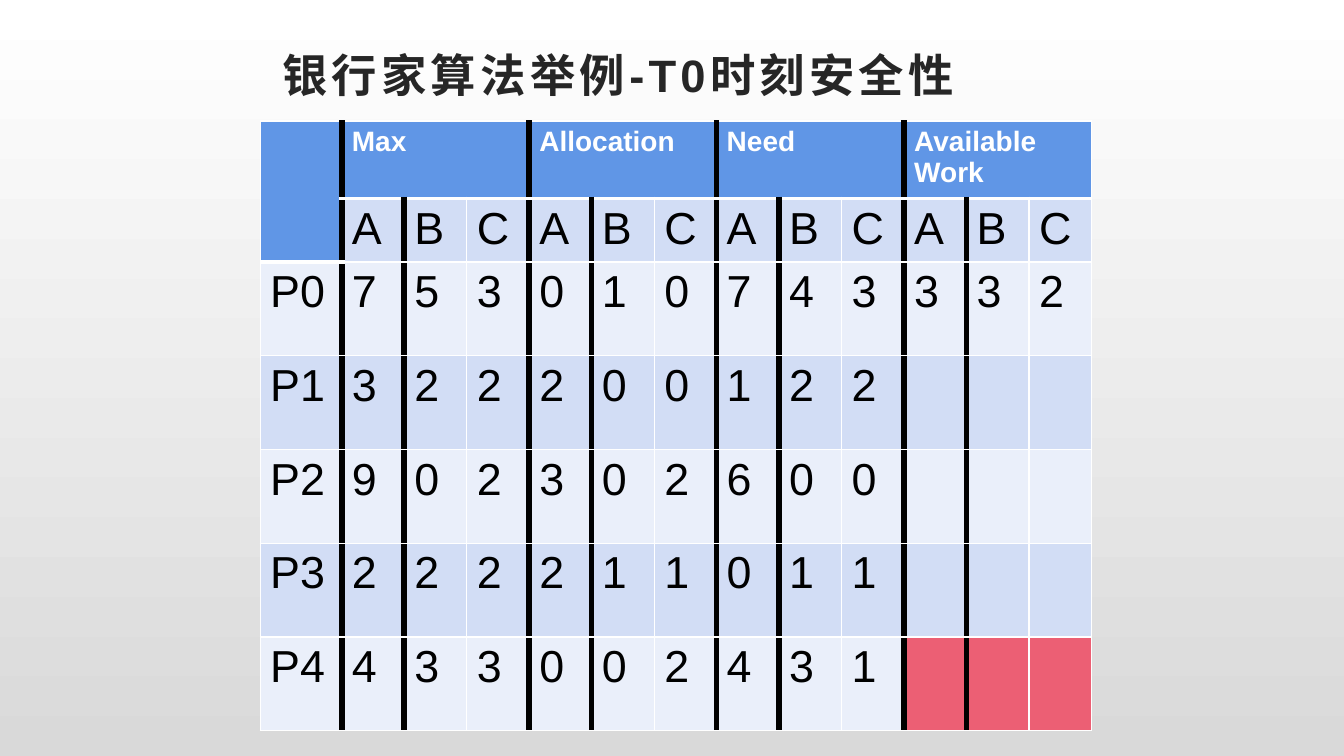
from lxml import etree
from pptx import Presentation
from pptx.dml.color import RGBColor
from pptx.enum.lang import MSO_LANGUAGE_ID
from pptx.enum.text import MSO_ANCHOR, PP_ALIGN
from pptx.oxml.ns import qn
from pptx.util import Inches, Pt

MIDDLE = MSO_ANCHOR.MIDDLE
LEFT = PP_ALIGN.LEFT
CHINESE = MSO_LANGUAGE_ID.SIMPLIFIED_CHINESE
TITLE_ONLY = 5
FONT = "Arial"
BLACK, WHITE = "000000", "FFFFFF"
HEADER_BLUE, BAND_DARK, BAND_LIGHT = "6096E6", "D2DDF5", "EAEFFA"
HIGHLIGHT = "EC5F74"
THIN, THICK, DIVIDER = (WHITE, 1), (WHITE, 3), (BLACK, 4.5)

GROUPS = ["Max", "Allocation", "Need", "Available\nWork"]
RESOURCES = "ABC"
PROCESSES = [
    ("P0", "753", "010", "743", "332"),
    ("P1", "322", "200", "122", "   "),
    ("P2", "902", "302", "600", "   "),
    ("P3", "222", "211", "011", "   "),
    ("P4", "433", "002", "431", "   "),
]
COLUMN_WIDTHS = [0.81] + [0.62] * len(GROUPS) * len(RESOURCES)
ROW_HEIGHTS = [0.77, 0.63] + [0.93] * len(PROCESSES)


def color(value):
    return RGBColor.from_string(value)


def style_run(run, size, value, bold):
    run.font.name = FONT
    run.font.size = Pt(size)
    run.font.bold = bold
    run.font.color.rgb = color(value)


def paint_background(slide):
    fill = slide.background.fill
    fill.gradient()
    fill.gradient_angle = 270
    for stop, value in zip(fill.gradient_stops, (WHITE, "D9D9D9")):
        stop.color.rgb = color(value)


def place_title(slide, left, top, width, height):
    title = slide.shapes.title
    title.left, title.top = Inches(left), Inches(top)
    title.width, title.height = Inches(width), Inches(height)
    frame = title.text_frame
    frame.text = "银行家算法举例-T0时刻安全性"
    frame.vertical_anchor = MIDDLE
    frame.word_wrap = True
    heading = frame.paragraphs[0]
    heading.alignment = LEFT
    run = heading.runs[0]
    style_run(run, 32.4, "262626", True)
    run.font.language_id = CHINESE
    properties = run._r.get_or_add_rPr()
    properties.set("spc", "300")
    east_asian = etree.SubElement(properties, qn("a:ea"))
    east_asian.set("typeface", FONT)


def set_borders(cell, **edges):
    properties = cell._tc.get_or_add_tcPr()
    for position, edge in enumerate("LRTB"):
        value, width = edges.get(edge, THIN)
        line = etree.Element(qn("a:ln" + edge), w=str(Pt(width)))
        solid = etree.SubElement(line, qn("a:solidFill"))
        etree.SubElement(solid, qn("a:srgbClr"), val=value)
        properties.insert(position, line)


def fill_cell(cell, text, background, size, value, bold):
    cell.fill.solid()
    cell.fill.fore_color.rgb = color(background)
    cell.text_frame.text = text
    for paragraph in cell.text_frame.paragraphs:
        for run in paragraph.runs:
            style_run(run, size, value, bold)


def cell_edges(column):
    if column == 0:
        return {"R": DIVIDER}
    resource = (column - 1) % len(RESOURCES)
    if resource == 0:
        return {"L": DIVIDER, "R": DIVIDER}
    last_column = len(COLUMN_WIDTHS) - 1
    if resource == len(RESOURCES) - 1 and column < last_column:
        return {"R": DIVIDER}
    return {}


def build_header(table):
    corner = table.cell(0, 0)
    corner.merge(table.cell(1, 0))
    fill_cell(corner, "", HEADER_BLUE, 20, WHITE, True)
    set_borders(corner, R=DIVIDER, B=THICK)
    span = len(RESOURCES)
    for index, group in enumerate(GROUPS):
        first = 1 + index * span
        cell = table.cell(0, first)
        cell.merge(table.cell(0, first + span - 1))
        fill_cell(cell, group, HEADER_BLUE, 20, WHITE, True)
        right = THIN if index == len(GROUPS) - 1 else DIVIDER
        set_borders(cell, L=DIVIDER, R=right, B=THICK)


def build_row(table, row, texts, first_column):
    band = BAND_DARK if row % 2 else BAND_LIGHT
    for column, text in enumerate(texts, first_column):
        available = column > len(RESOURCES) * (len(GROUPS) - 1)
        last_row = row == len(ROW_HEIGHTS) - 1
        background = HIGHLIGHT if available and last_row else band
        cell = table.cell(row, column)
        fill_cell(cell, text.strip(), background, 32, BLACK, False)
        set_borders(cell, **cell_edges(column))


def place_table(slide, left, top, width, height):
    table = slide.shapes.add_table(
        len(ROW_HEIGHTS), len(COLUMN_WIDTHS),
        Inches(left), Inches(top), Inches(width), Inches(height),
    ).table
    for column, column_width in zip(table.columns, COLUMN_WIDTHS):
        column.width = Inches(column_width)
    for row, row_height in zip(table.rows, ROW_HEIGHTS):
        row.height = Inches(row_height)
    build_header(table)
    build_row(table, 1, RESOURCES * len(GROUPS), 1)
    for row, (process, *amounts) in enumerate(PROCESSES, 2):
        build_row(table, row, [process, *"".join(amounts)], 0)


def main():
    presentation = Presentation()
    presentation.slide_width = Inches(13.33)
    presentation.slide_height = Inches(7.5)
    slide = presentation.slides.add_slide(presentation.slide_layouts[TITLE_ONLY])
    paint_background(slide)
    place_title(slide, 2.7, 0.4, 7.95, 0.68)
    place_table(slide, 2.58, 1.2, 8.2, 6.07)
    presentation.save("out.pptx")


if __name__ == "__main__":
    main()
